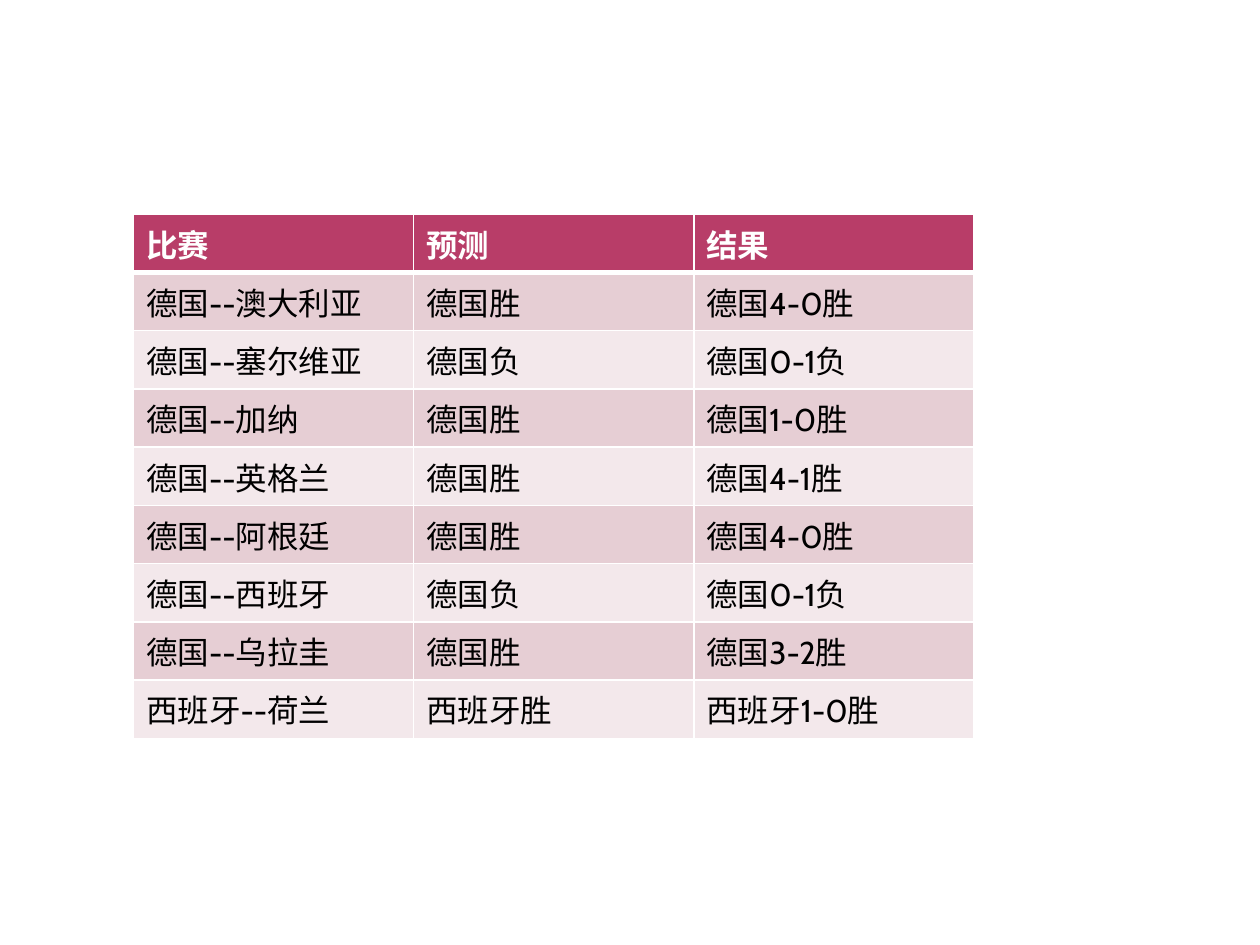
import pptx
import pptx.util
import pptx.dml.color
import pptx.oxml
import pptx.oxml.ns

HEADINGS = ("比赛", "预测", "结果")
MATCHES = [
    ("德国--澳大利亚", "德国胜", "德国4-0胜"),
    ("德国--塞尔维亚", "德国负", "德国0-1负"),
    ("德国--加纳", "德国胜", "德国1-0胜"),
    ("德国--英格兰", "德国胜", "德国4-1胜"),
    ("德国--阿根廷", "德国胜", "德国4-0胜"),
    ("德国--西班牙", "德国负", "德国0-1负"),
    ("德国--乌拉圭", "德国胜", "德国3-2胜"),
    ("西班牙--荷兰", "西班牙胜", "西班牙1-0胜"),
]
THEME = {
    "font": "Cabin",
    "size": 18,
    "header": "B83D68",
    "bands": ("E6CED4", "F3E8EB"),
    "header_text": "FFFFFF",
    "body_text": "000000",
    "rule": "FFFFFF",
    "thin": 1,
    "thick": 3,
}
SLIDE_WIDTH, SLIDE_HEIGHT = 10, 7.5
TABLE_LEFT, TABLE_TOP, TABLE_WIDTH = 1.06, 1.7, 6.67
ROW_HEIGHT = 0.41


def colour(code):
    return pptx.dml.color.RGBColor.from_string(code)


def draw_borders(cell, widths):
    """Add the left, right, top and bottom rules, widths in points."""
    properties = cell._tc.get_or_add_tcPr()
    for position, (side, width) in enumerate(zip("LRTB", widths)):
        line = pptx.oxml.parse_xml(
            f'<a:ln{side} {pptx.oxml.ns.nsdecls("a")} w="{pptx.util.Pt(width)}">'
            f'<a:solidFill><a:srgbClr val="{THEME["rule"]}"/></a:solidFill>'
            f'</a:ln{side}>'
        )
        properties.insert(position, line)


def fill_cell(cell, text, row):
    is_header = row == 0
    cell.text_frame.text = text
    cell.fill.solid()
    cell.fill.fore_color.rgb = colour(
        THEME["header"] if is_header else THEME["bands"][(row - 1) % 2]
    )
    font = cell.text_frame.paragraphs[0].runs[0].font
    font.name = THEME["font"]
    font.size = pptx.util.Pt(THEME["size"])
    font.bold = is_header
    font.color.rgb = colour(THEME["header_text" if is_header else "body_text"])
    thin, thick = THEME["thin"], THEME["thick"]
    draw_borders(cell, (thin, thin, thick if row == 1 else thin,
                        thick if is_header else thin))


def main():
    deck = pptx.Presentation()
    deck.slide_width = pptx.util.Inches(SLIDE_WIDTH)
    deck.slide_height = pptx.util.Inches(SLIDE_HEIGHT)
    page = deck.slides.add_slide(deck.slide_layouts[6])

    rows = [HEADINGS, *MATCHES]
    table = page.shapes.add_table(
        len(rows), len(HEADINGS),
        pptx.util.Inches(TABLE_LEFT), pptx.util.Inches(TABLE_TOP),
        pptx.util.Inches(TABLE_WIDTH), pptx.util.Inches(ROW_HEIGHT * len(rows)),
    ).table
    for row, texts in enumerate(rows):
        for column, text in enumerate(texts):
            fill_cell(table.cell(row, column), text, row)
    deck.save("out.pptx")


if __name__ == "__main__":
    main()
